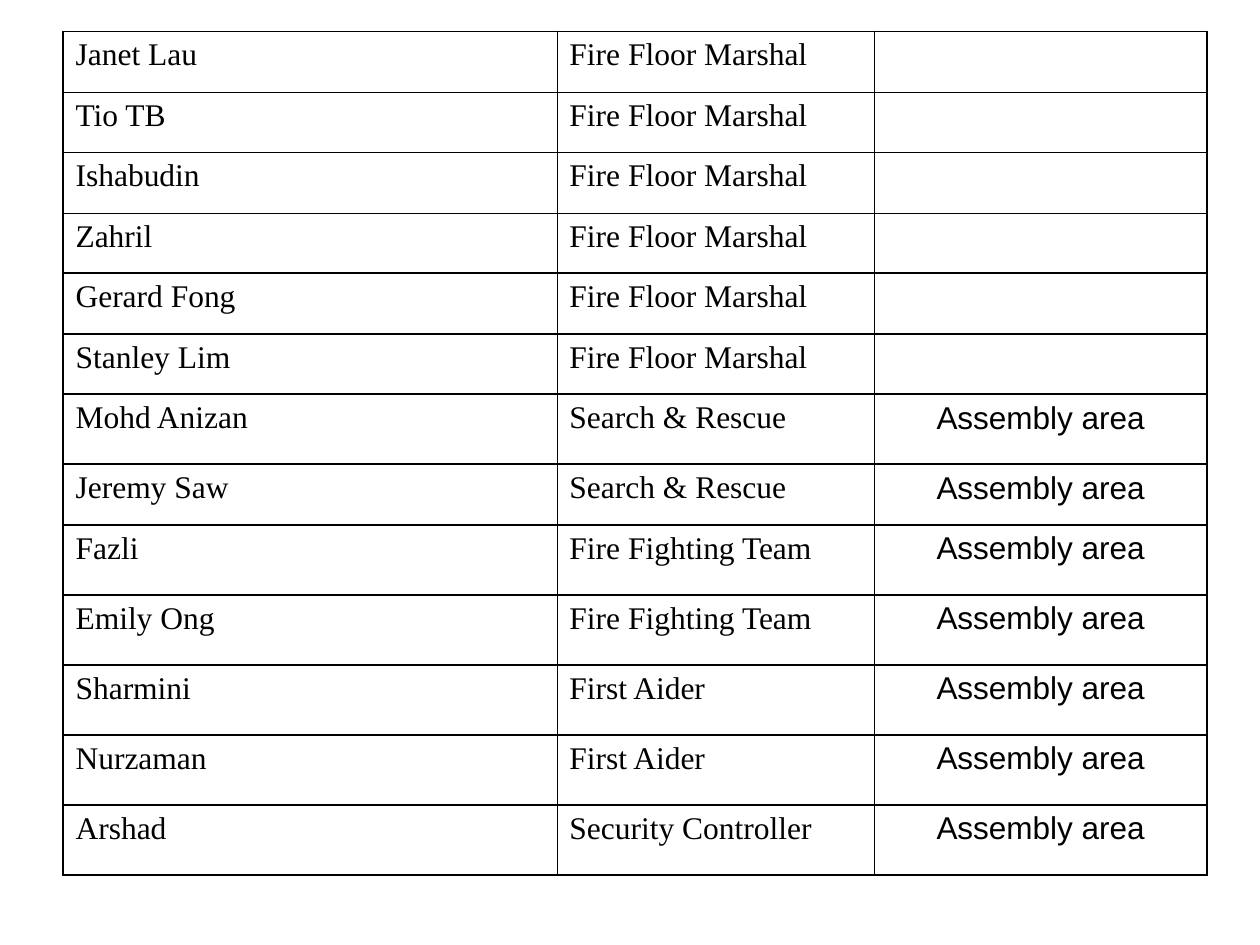
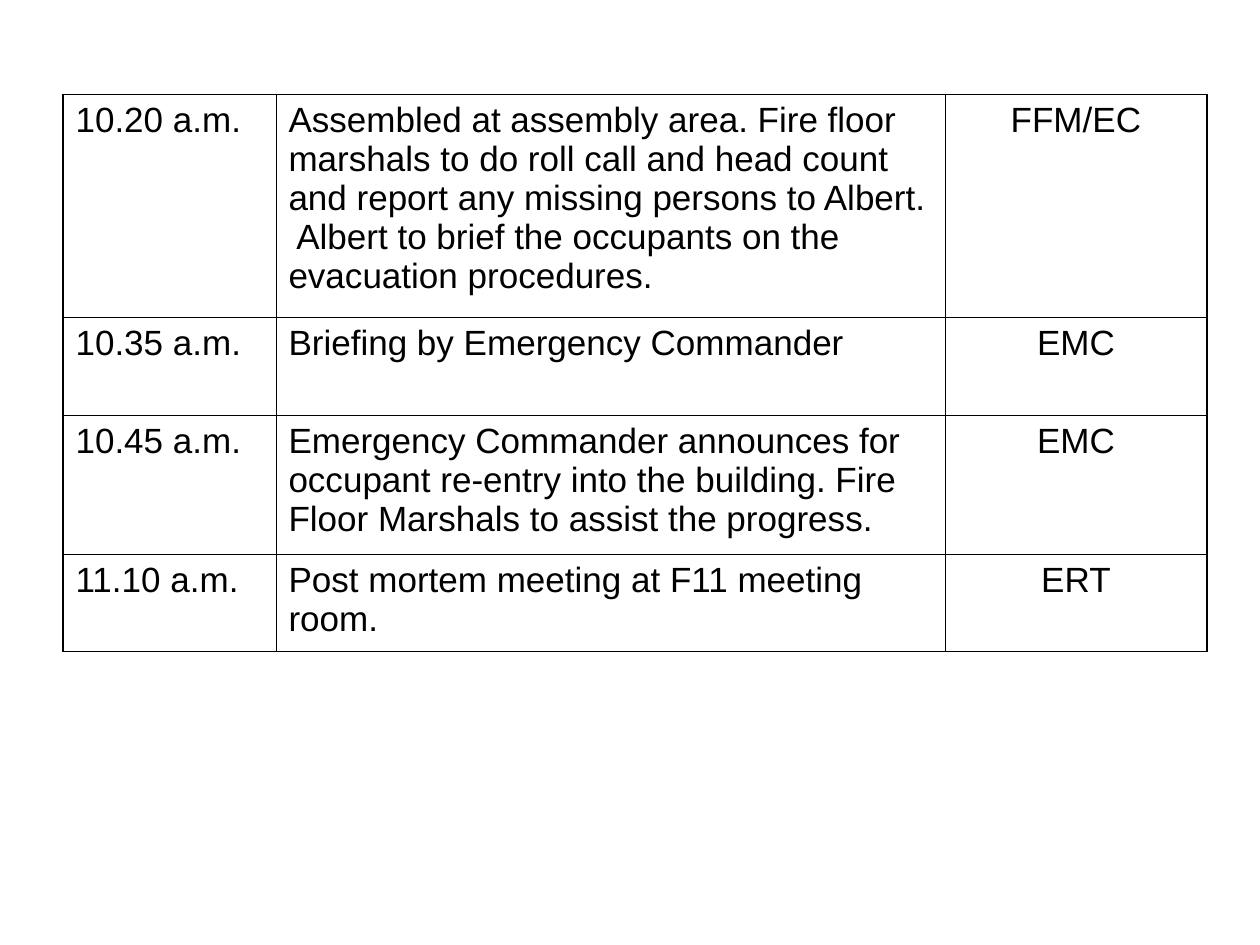
from dataclasses import dataclass, field

from lxml import etree
from pptx import Presentation
from pptx import util as u
from pptx.dml.color import RGBColor
from pptx.enum import text
from pptx.oxml.ns import qn


@dataclass(frozen=True)
class Theme:
    ink: str = "000000"
    serif: str = "Times New Roman"
    sans: str = "Arial"
    small: float = 18
    large: float = 20
    thick: float = 1.08
    thin: float = 0.45
    wide: float = 10
    high: float = 7.5
    left: float = 5


@dataclass(frozen=True)
class Grid:
    top: float
    cols: list[float]
    rows: list[float]
    cells: list[tuple[str, str, str]]
    fonts: tuple[str, str, str]
    size: float
    thin: set[int] = field(default_factory=set)


LOOK = Theme()
LEFT, MID = text.PP_ALIGN.LEFT, text.PP_ALIGN.CENTER
ALIGN = (LEFT, LEFT, MID)

SHORT, TALL = 6.4, 7.41
SPOT = "Assembly area"
TEAM = [
    *((name, "Fire Floor Marshal", "") for name in (
        "Janet Lau", "Tio TB", "Ishabudin", "Zahril", "Gerard Fong", "Stanley Lim")),
    ("Mohd Anizan", "Search & Rescue", SPOT),
    ("Jeremy Saw", "Search & Rescue", SPOT),
    ("Fazli", "Fire Fighting Team", SPOT),
    ("Emily Ong", "Fire Fighting Team", SPOT),
    ("Sharmini", "First Aider", SPOT),
    ("Nurzaman", "First Aider", SPOT),
    ("Arshad", "Security Controller", SPOT),
]
PLAN = [
    ("10.20 a.m.",
     "Assembled at assembly area. Fire floor marshals to do roll call and head count "
     "and report any missing persons to Albert.  Albert to brief the occupants on the "
     "evacuation procedures.", "FFM/EC"),
    ("10.35 a.m.", "Briefing by Emergency Commander", "EMC"),
    ("10.45 a.m.",
     "Emergency Commander announces for occupant re-entry into the building. "
     "Fire Floor Marshals to assist the progress.", "EMC"),
    ("11.10 a.m.", "Post mortem meeting at F11 meeting room.", "ERT"),
]

GRIDS = [
    Grid(3.33, [39.2, 25.2, 26.4], [SHORT] * 6 + [TALL, SHORT] + [TALL] * 5, TEAM,
         (LOOK.serif, LOOK.serif, LOOK.sans), LOOK.small, {1, 2, 3}),
    Grid(10, [16.9, 53.1, 20.8], [23.6, 10.4, 14.67, 10.27], PLAN,
         (LOOK.sans,) * 3, LOOK.large, {1, 2}),
]


def across(share: float) -> int:
    return u.Inches(LOOK.wide * share / 100)


def down(share: float) -> int:
    return u.Inches(LOOK.high * share / 100)


def edge(cell, side: str, width: float) -> None:
    line = etree.SubElement(cell._tc.get_or_add_tcPr(), qn(f"a:ln{side}"),
                            w=str(u.Pt(width)))
    fill = etree.SubElement(line, qn("a:solidFill"))
    etree.SubElement(fill, qn("a:srgbClr"), val=LOOK.ink)


def write(cell, words: str, font: str, size: float, align) -> None:
    para = cell.text_frame.paragraphs[0]
    para.alignment = align
    para.space_before = u.Pt(size / 4)
    para.font.size = u.Pt(size)
    if words:
        run = para.add_run()
        run.text = words
        run.font.name = font
        run.font.size = u.Pt(size)
        run.font.color.rgb = RGBColor.from_string(LOOK.ink)


def draw(slide, grid: Grid) -> None:
    rows, cols = len(grid.rows), len(grid.cols)
    table = slide.shapes.add_table(
        rows, cols, across(LOOK.left), down(grid.top),
        across(sum(grid.cols)), down(sum(grid.rows))).table
    table.first_row = table.horz_banding = False
    for col, share in zip(table.columns, grid.cols):
        col.width = across(share)
    for row, share in zip(table.rows, grid.rows):
        row.height = down(share)

    flat = [LOOK.thin if i in grid.thin else LOOK.thick for i in range(rows + 1)]
    tall = [LOOK.thick if i in (0, cols) else LOOK.thin for i in range(cols + 1)]
    for r, line in enumerate(grid.cells):
        for c, words in enumerate(line):
            cell = table.cell(r, c)
            write(cell, words, grid.fonts[c], grid.size, ALIGN[c])
            for side, width in zip("LRTB", (tall[c], tall[c + 1], flat[r], flat[r + 1])):
                edge(cell, side, width)
            cell.fill.background()


def main() -> None:
    deck = Presentation()
    deck.slide_width, deck.slide_height = across(100), down(100)
    for grid in GRIDS:
        draw(deck.slides.add_slide(deck.slide_layouts[6]), grid)
    deck.save("out.pptx")


if __name__ == "__main__":
    main()
